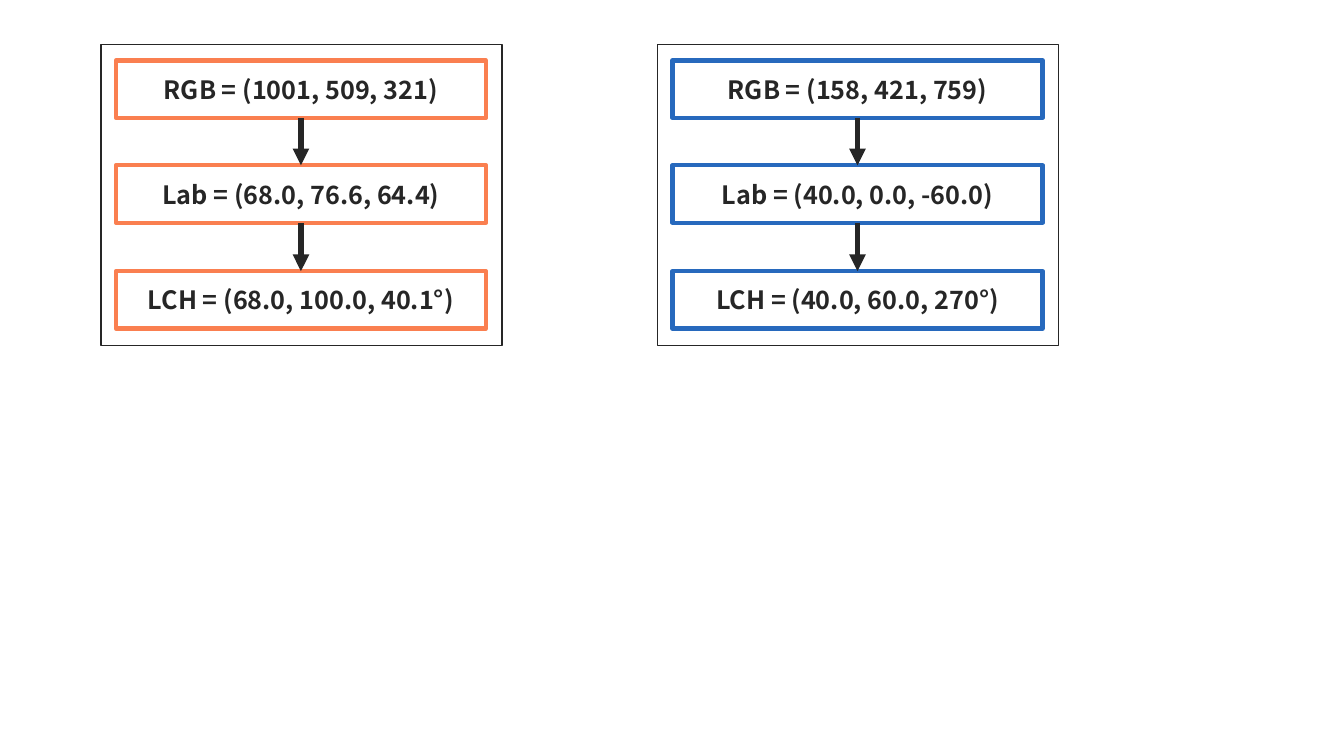
from dataclasses import dataclass

from lxml import etree
from pptx import Presentation
from pptx import util as u
from pptx.dml.color import RGBColor
from pptx.enum import shapes, text
from pptx.oxml import ns
from pptx.shapes.autoshape import Shape
from pptx.slide import Slide

SCALE = 9144
INK = RGBColor(0x26, 0x26, 0x26)
WHITE = RGBColor(0xFF, 0xFF, 0xFF)
ORANGE = RGBColor(0xFA, 0x7F, 0x50)
BLUE = RGBColor(0x27, 0x69, 0xBD)
FONT = "Noto Sans CJK JP"

PANEL_TOP, PANEL_WIDTH, PANEL_HEIGHT = 44, 398, 299
INSET, STEP_TOP, STEP_WIDTH, STEP_HEIGHT = 15, 60, 367, 57
TWO_STEPS = 209


@dataclass(frozen=True)
class Panel:
    left: int
    color: RGBColor
    labels: tuple[str, ...]


PANELS = (
    Panel(100, ORANGE, ("RGB = (1001, 509, 321)", "Lab = (68.0, 76.6, 64.4)",
                        "LCH = (68.0, 100.0, 40.1°)")),
    Panel(652, BLUE, ("RGB = (158, 421, 759)", "Lab = (40.0, 0.0, -60.0)",
                      "LCH = (40.0, 60.0, 270°)")),
)


def px(count: int) -> u.Emu:
    return u.Emu(count * SCALE)


def add_box(slide: Slide, left: int, top: int, width: int, height: int,
            color: RGBColor, weight: int) -> Shape:
    box = slide.shapes.add_shape(shapes.MSO_SHAPE.RECTANGLE,
                                 px(left), px(top), px(width), px(height))
    box.shadow.inherit = False
    box.fill.background()
    box.line.color.rgb = color
    box.line.width = u.Pt(weight)
    return box


def add_label(box: Shape, label: str) -> None:
    frame = box.text_frame
    frame.text = label
    frame.vertical_anchor = text.MSO_ANCHOR.MIDDLE
    line = frame.paragraphs[0]
    line.alignment = text.PP_ALIGN.CENTER
    font = line.runs[0].font
    font.name = FONT
    font.size = u.Pt(18)
    font.bold = True
    font.color.rgb = INK


def add_arrow(slide: Slide, start: Shape, end: Shape) -> None:
    arrow = slide.shapes.add_connector(shapes.MSO_CONNECTOR.STRAIGHT, 0, 0, 0, 0)
    arrow.begin_connect(start, 2)
    arrow.end_connect(end, 0)
    arrow.line.color.rgb = INK
    arrow.line.width = u.Pt(4)
    props = arrow._element.spPr
    etree.SubElement(props.find(ns.qn("a:ln")), ns.qn("a:tailEnd"), type="triangle")
    etree.SubElement(props, ns.qn("a:effectLst"))


def add_panel(slide: Slide, panel: Panel) -> None:
    frame = add_box(slide, panel.left, PANEL_TOP, PANEL_WIDTH, PANEL_HEIGHT, INK, 1)
    frame.fill.solid()
    frame.fill.fore_color.rgb = WHITE
    steps = []
    for row, label in enumerate(panel.labels):
        top = STEP_TOP + row * TWO_STEPS // 2
        step = add_box(slide, panel.left + INSET, top,
                       STEP_WIDTH, STEP_HEIGHT, panel.color, 3)
        add_label(step, label)
        steps.append(step)
    for start, end in zip(steps, steps[1:]):
        add_arrow(slide, start, end)


def main() -> None:
    deck = Presentation()
    deck.slide_width, deck.slide_height = px(1333), px(750)
    slide = deck.slides.add_slide(deck.slide_layouts[6])
    for panel in PANELS:
        add_panel(slide, panel)
    deck.save("out.pptx")


if __name__ == "__main__":
    main()
